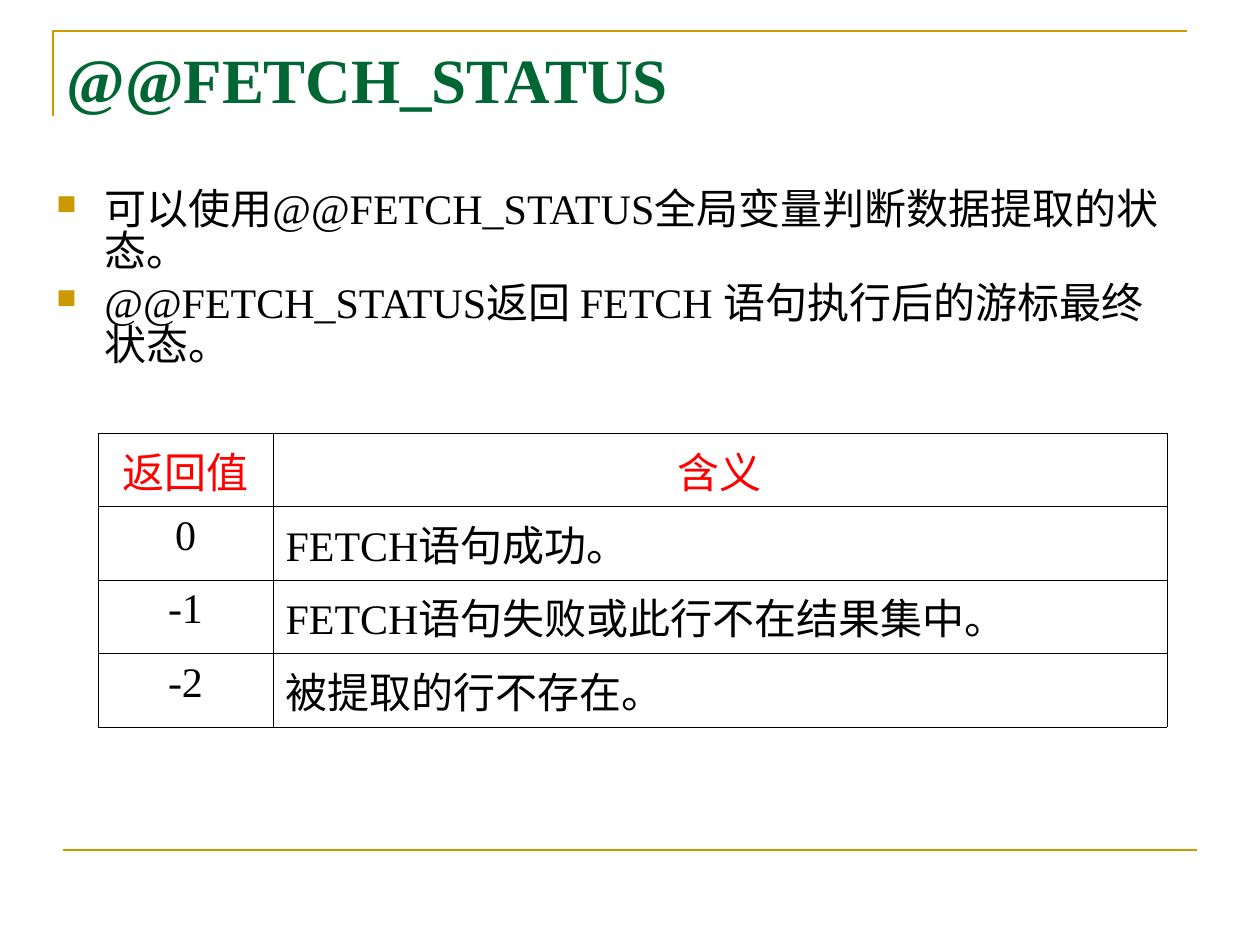
from pptx import Presentation
from pptx.dml.color import RGBColor
from pptx.enum.shapes import MSO_CONNECTOR
from pptx.enum.text import MSO_ANCHOR, PP_ALIGN
from pptx.oxml import parse_xml
from pptx.oxml.ns import nsdecls
from pptx.util import Pt

TITLE = "@@FETCH_STATUS"
POINTS = [
    "可以使用@@FETCH_STATUS全局变量判断数据提取的状态。",
    "@@FETCH_STATUS返回 FETCH 语句执行后的游标最终状态。",
]
STATUS_ROWS = [
    ("返回值", "含义"),
    ("0", "FETCH语句成功。"),
    ("-1", "FETCH语句失败或此行不在结果集中。"),
    ("-2", "被提取的行不存在。"),
]
COLUMN_WIDTHS = (175, 894)
TABLE_LEFT, TABLE_TOP, TABLE_HEIGHT = 98, 433, 294
FONT = "Times New Roman"
GOLD, GREEN, RED, BLACK = "CC9900", "006633", "FF0000", "000000"
EMU_PER_PX = 914400 / 126


def px(length):
    """Turn pixels into EMU."""
    return round(length * EMU_PER_PX)


def color(value):
    """Turn a hex string into a colour."""
    return RGBColor.from_string(value)


def style(paragraph, size, value, bold=False):
    """Set the font of every run in a paragraph."""
    for run in paragraph.runs:
        run.font.name, run.font.size, run.font.bold = FONT, Pt(size), bold
        run.font.color.rgb = color(value)


def add_text_frame(slide, left, top, width, height, text):
    """Add a wrapping text box and return its frame."""
    frame = slide.shapes.add_textbox(px(left), px(top), px(width), px(height)).text_frame
    frame.word_wrap = True
    frame.text = text
    return frame


def add_rules(slide):
    """Draw the corner rule and the bottom rule."""
    builder = slide.shapes.build_freeform(px(53), px(116))
    builder.add_line_segments([(px(53), px(31)), (px(1187), px(31))], close=False)
    corner = builder.convert_to_shape()
    corner.fill.background()
    corner.shadow.inherit = False
    bottom = slide.shapes.add_connector(
        MSO_CONNECTOR.STRAIGHT, px(63), px(850), px(1197), px(850))
    bottom._element.spPr.append(parse_xml(f"<a:effectLst {nsdecls('a')}/>"))
    for rule in (corner, bottom):
        rule.line.color.rgb = color(GOLD)
        rule.line.width = Pt(1.5)


def add_bullet(paragraph):
    """Give a paragraph a gold square and a hanging indent."""
    properties = paragraph._p.get_or_add_pPr()
    properties.set("marL", str(px(48)))
    properties.set("indent", str(-px(48)))
    for element in (
        f'<a:buClr {nsdecls("a")}><a:srgbClr val="{GOLD}"/></a:buClr>',
        f'<a:buSzPct {nsdecls("a")} val="65000"/>',
        f'<a:buChar {nsdecls("a")} char="■"/>',
    ):
        properties.append(parse_xml(element))


def add_borders(cell):
    """Draw a thin black line on each side of a cell."""
    properties = cell._tc.get_or_add_tcPr()
    for side in ("lnL", "lnR", "lnT", "lnB"):
        properties.append(parse_xml(
            f'<a:{side} {nsdecls("a")} w="{Pt(0.45)}"><a:solidFill>'
            f'<a:srgbClr val="{BLACK}"/></a:solidFill></a:{side}>'))


def add_status_table(slide):
    """Add the table of return values."""
    table = slide.shapes.add_table(
        len(STATUS_ROWS), len(COLUMN_WIDTHS), px(TABLE_LEFT), px(TABLE_TOP),
        px(sum(COLUMN_WIDTHS)), px(TABLE_HEIGHT)).table
    for column, width in zip(table.columns, COLUMN_WIDTHS):
        column.width = px(width)
    for r, texts in enumerate(STATUS_ROWS):
        for c, text in enumerate(texts):
            cell = table.cell(r, c)
            add_borders(cell)
            cell.fill.background()
            cell.text = text
            paragraph = cell.text_frame.paragraphs[0]
            centred = r == 0 or c == 0
            paragraph.alignment = PP_ALIGN.CENTER if centred else PP_ALIGN.LEFT
            style(paragraph, 24, RED if r == 0 else BLACK)


def main():
    """Build the slide."""
    deck = Presentation()
    deck.slide_width, deck.slide_height = px(1260), px(945)
    slide = deck.slides.add_slide(deck.slide_layouts[6])
    add_rules(slide)

    title = add_text_frame(slide, 54, 29, 1177, 99, TITLE)
    title.vertical_anchor = MSO_ANCHOR.MIDDLE
    style(title.paragraphs[0], 36, GREEN, bold=True)

    body = add_text_frame(slide, 44, 185, 1138, 307, "\n".join(POINTS))
    for i, paragraph in enumerate(body.paragraphs):
        paragraph.line_spacing = 0.83
        paragraph.space_before = Pt(6 if i else 0)
        add_bullet(paragraph)
        style(paragraph, 24, BLACK)

    add_status_table(slide)
    deck.save("out.pptx")


if __name__ == "__main__":
    main()
